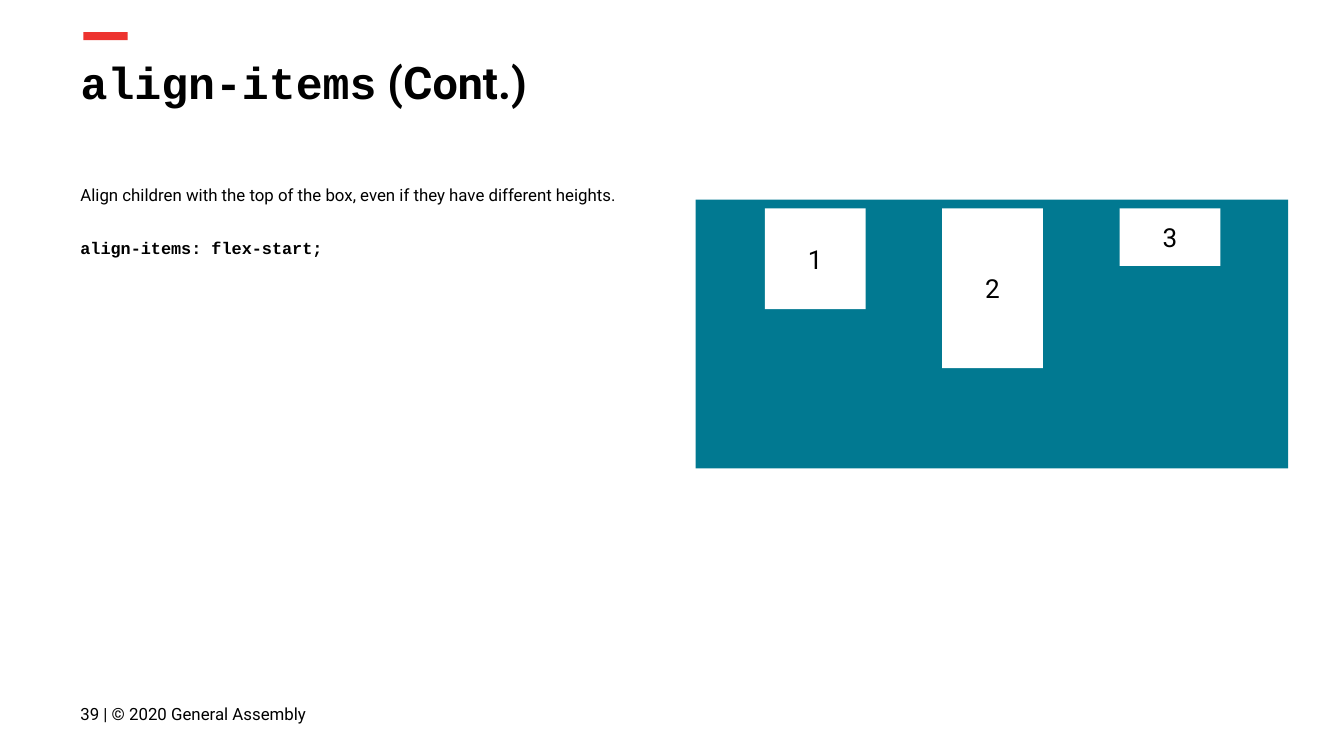
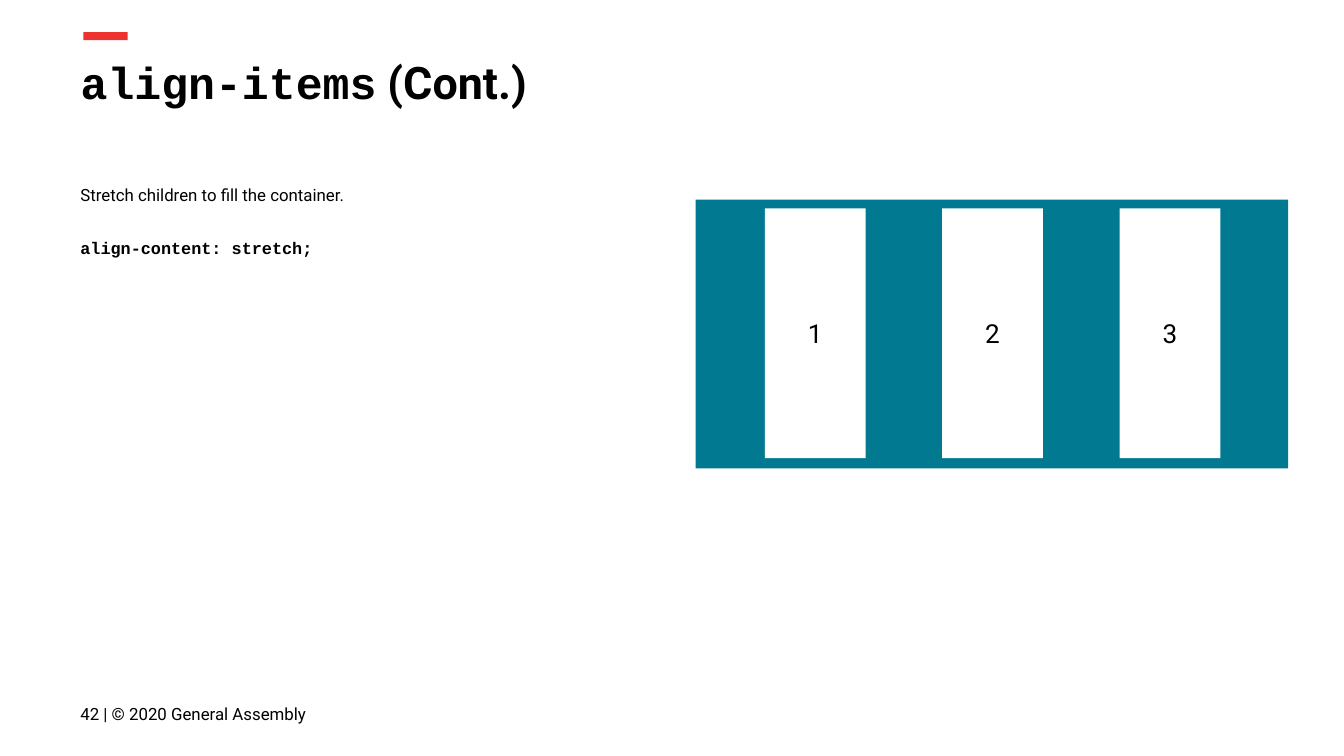
from pptx import Presentation
from pptx.dml.color import RGBColor
from pptx.enum.shapes import MSO_SHAPE as Shape
from pptx.enum.text import MSO_ANCHOR as Anchor, MSO_AUTO_SIZE as AutoSize, PP_ALIGN as Align
from pptx.util import Inches, Pt

RED, TEAL, WHITE, BLACK = "ED332F", "017991", "FFFFFF", "000000"
SANS, MONO = "Roboto", "Courier New"

CHILD_LEFT, CHILD_TOP, CHILD_WIDTH, CHILD_STEP = 5.69, 1.55, 0.75, 1.32

# Page number, explanation, CSS rule, heights of the three children
EXAMPLES = [
    (39, "Align children with the top of the box, even if they have different heights.",
     "align-items: flex-start;", [0.75, 1.19, 0.43]),
    (42, "Stretch children to fill the container.",
     "align-content: stretch;", [1.86, 1.86, 1.86]),
]


def add_rectangle(page, left, top, width, height, color):
    box = page.shapes.add_shape(
        Shape.RECTANGLE, Inches(left), Inches(top), Inches(width), Inches(height))
    box.fill.solid()
    box.fill.fore_color.rgb = RGBColor.from_string(color)
    box.line.fill.background()
    box.shadow.inherit = False
    return box


def write(box, lines, size, anchor=Anchor.TOP, align=Align.LEFT):
    """Fill a box with paragraphs, each a list of (text, font name, bold) spans."""
    frame = box.text_frame
    frame.word_wrap = True
    frame.auto_size = AutoSize.NONE
    frame.vertical_anchor = anchor
    frame.margin_left = frame.margin_right = Inches(0.1)
    frame.margin_top = frame.margin_bottom = Inches(0.1)
    for index, spans in enumerate(lines):
        para = frame.add_paragraph() if index else frame.paragraphs[0]
        para.alignment = align
        for text, name, bold in spans:
            span = para.add_run()
            span.text = text
            span.font.name = name
            span.font.size = Pt(size)
            span.font.bold = bold
            span.font.color.rgb = RGBColor.from_string(BLACK)


deck = Presentation()
deck.slide_width, deck.slide_height = Inches(10), Inches(10 * 9 / 16)
title_only = deck.slide_layouts[5]

for number, explanation, rule, heights in EXAMPLES:
    page = deck.slides.add_slide(title_only)
    add_rectangle(page, 0.62, 0.24, 0.33, 0.06, RED)

    title = page.shapes.title
    title.left, title.top = Inches(0.5), Inches(0.31)
    title.width, title.height = Inches(9.32), Inches(0.63)
    write(title, [[("align-items", MONO, True), (" (Cont.)", SANS, True)]], 24)

    body = page.shapes.add_textbox(Inches(0.5), Inches(1.25), Inches(4.5), Inches(3.21))
    write(body, [[(explanation, SANS, False)], [(rule, MONO, True)]], 9)
    for para in body.text_frame.paragraphs:
        para.line_spacing = 1.15
    para.space_before = para.space_after = Pt(16)

    footer = page.shapes.add_textbox(Inches(0.5), Inches(5.1), Inches(2.59), Inches(0.43))
    write(footer, [[(f"{number} | © 2020 General Assembly", SANS, False)]], 9, Anchor.MIDDLE)

    container = add_rectangle(page, 6.38, 0.28, 2, 4.41, TEAL)
    container.rotation = 270
    for index, height in enumerate(heights):
        child = add_rectangle(
            page, CHILD_LEFT + index * CHILD_STEP, CHILD_TOP, CHILD_WIDTH, height, WHITE)
        write(child, [[(str(index + 1), SANS, False)]], 14, Anchor.MIDDLE, Align.CENTER)

deck.save("out.pptx")
